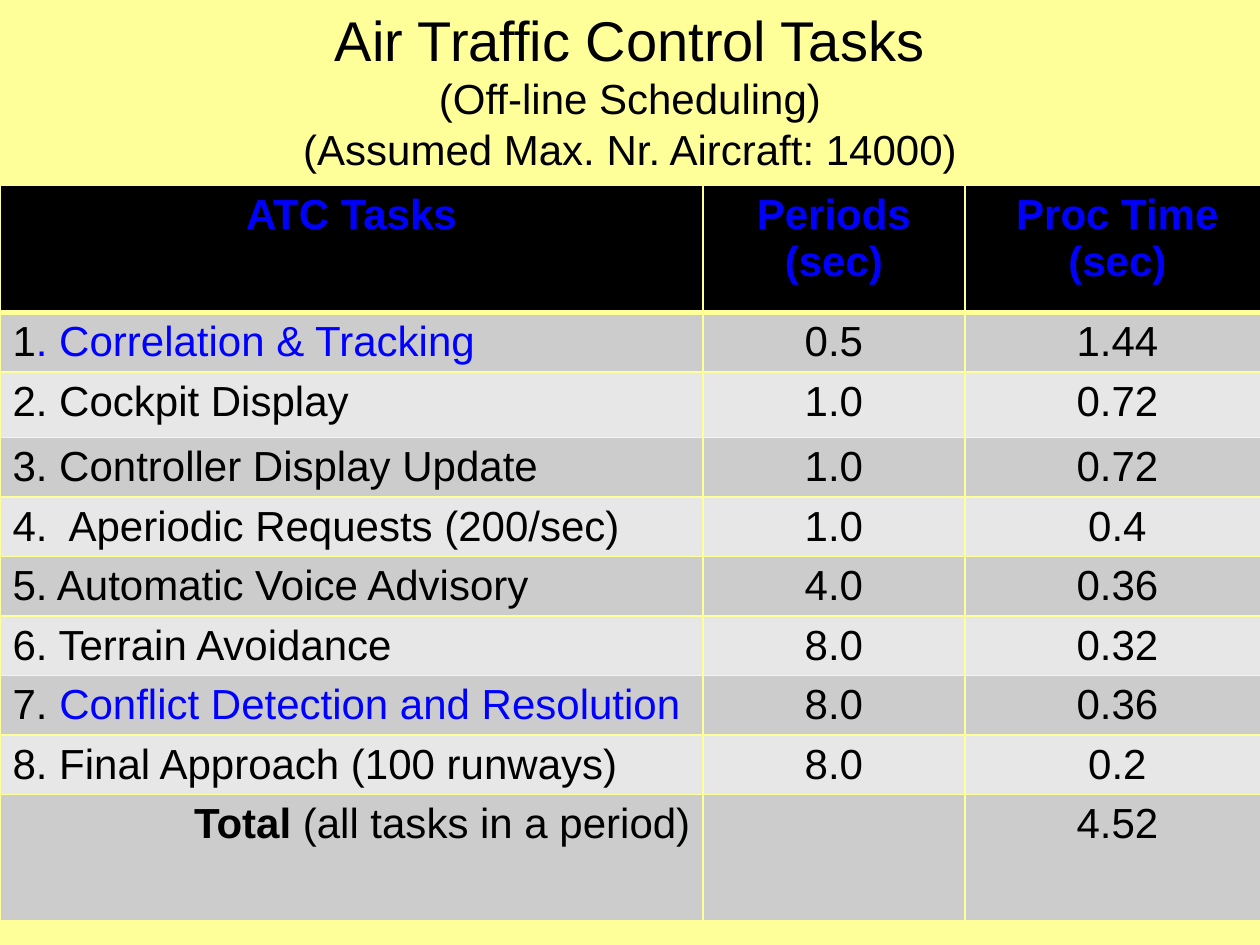
from dataclasses import dataclass

import pptx
import pptx.dml.color
import pptx.enum.text
import pptx.oxml
import pptx.oxml.ns
import pptx.util
from pptx.util import Cm

ALIGN = pptx.enum.text.PP_ALIGN
ANCHOR = pptx.enum.text.MSO_ANCHOR


@dataclass(frozen=True)
class Theme:
    font: str = "Arial"
    background: str = "FFFF99"
    text: str = "000000"
    accent: str = "0000FF"
    header_fill: str = "000000"
    bands: tuple[str, str] = ("CCCCCC", "E7E7E7")
    title_size: int = 32
    body_size: int = 24
    border: int = 1
    header_border: int = 3


@dataclass(frozen=True)
class Task:
    number: str
    name: str
    period: str
    processing_time: str
    highlighted: bool = False


THEME = Theme()
TASKS = [
    Task("1", ". Correlation & Tracking", "0.5", "1.44", True),
    Task("2. ", "Cockpit Display", "1.0", "0.72"),
    Task("3. ", "Controller Display Update", "1.0", "0.72"),
    Task("4.  ", "Aperiodic Requests (200/sec)", "1.0", "0.4"),
    Task("5. ", "Automatic Voice Advisory", "4.0", "0.36"),
    Task("6. ", "Terrain Avoidance", "8.0", "0.32"),
    Task("7. ", "Conflict Detection and Resolution", "8.0", "0.36", True),
    Task("8. ", "Final Approach (100 runways)", "8.0", "0.2"),
]
COLUMN_WIDTHS = [Cm(14.17), Cm(5.28), Cm(6.15)]
HEADER_HEIGHT, TASK_HEIGHT, TOTAL_HEIGHT = Cm(2.57), Cm(1.19), Cm(2.54)
COCKPIT_HEIGHT = Cm(1.32)


def color(value: str) -> pptx.dml.color.RGBColor:
    return pptx.dml.color.RGBColor.from_string(value)


def add_text(paragraph, text: str, *, size: int = THEME.body_size,
             fill: str = THEME.text, bold: bool = False, align=None) -> None:
    """Append a formatted run to a paragraph."""
    if align is not None:
        paragraph.alignment = align
    run = paragraph.add_run()
    run.text = text
    run.font.name = THEME.font
    run.font.size = pptx.util.Pt(size)
    run.font.bold = bold
    run.font.color.rgb = color(fill)


def format_cell(cell, fill: str, top: int, bottom: int) -> None:
    """Set the borders and fill of a cell; border widths are in points."""
    properties = cell._tc.get_or_add_tcPr()
    sides = {"lnL": THEME.border, "lnR": THEME.border, "lnT": top, "lnB": bottom}
    for side, width in sides.items():
        properties.append(pptx.oxml.parse_xml(
            f'<a:{side} {pptx.oxml.ns.nsdecls("a")} w="{pptx.util.Pt(width)}">'
            f'<a:solidFill><a:srgbClr val="{THEME.background}"/></a:solidFill>'
            f'</a:{side}>'))
    cell.fill.solid()
    cell.fill.fore_color.rgb = color(fill)


def add_title(slide) -> None:
    title = slide.shapes.title
    title.left, title.top, title.width, title.height = Cm(1.27), Cm(0), Cm(22.86), Cm(3.61)
    title.text_frame.vertical_anchor = ANCHOR.MIDDLE
    title.text_frame.word_wrap = True
    paragraph = title.text_frame.paragraphs[0]
    add_text(paragraph, "Air Traffic Control Tasks", size=THEME.title_size, align=ALIGN.CENTER)
    for line in ("(Off-line Scheduling)", "(Assumed Max. Nr. Aircraft: 14000)"):
        paragraph.add_line_break()
        add_text(paragraph, line)


def add_task_table(slide) -> None:
    heights = [HEADER_HEIGHT, *[TASK_HEIGHT] * len(TASKS), TOTAL_HEIGHT]
    heights[2] = COCKPIT_HEIGHT
    table = slide.shapes.add_table(
        len(heights), len(COLUMN_WIDTHS), Cm(0), Cm(3.73),
        sum(COLUMN_WIDTHS), sum(heights)).table
    table.horz_banding = False
    for column, width in zip(table.columns, COLUMN_WIDTHS):
        column.width = width

    # Row heights, fills and borders
    for index, (row, height) in enumerate(zip(table.rows, heights)):
        row.height = height
        fill = THEME.bands[(index - 1) % 2] if index else THEME.header_fill
        top = THEME.header_border if index == 1 else THEME.border
        bottom = THEME.header_border if index == 0 else THEME.border
        for cell in row.cells:
            format_cell(cell, fill, top, bottom)

    def paragraph_at(row: int, column: int):
        return table.cell(row, column).text_frame.paragraphs[0]

    # Header
    for column, heading in enumerate(("ATC Tasks", "Periods (sec)", "Proc Time (sec)")):
        add_text(paragraph_at(0, column), heading, fill=THEME.accent, bold=True,
                 align=ALIGN.CENTER)

    # Tasks
    for row, task in enumerate(TASKS, start=1):
        add_text(paragraph_at(row, 0), task.number)
        add_text(paragraph_at(row, 0), task.name,
                 fill=THEME.accent if task.highlighted else THEME.text)
        for column, value in enumerate((task.period, task.processing_time), start=1):
            add_text(paragraph_at(row, column), value, align=ALIGN.CENTER)

    # Total
    total_row = len(heights) - 1
    add_text(paragraph_at(total_row, 0), "Total ", bold=True, align=ALIGN.RIGHT)
    add_text(paragraph_at(total_row, 0), "(all tasks in a period)")
    add_text(paragraph_at(total_row, 2), "4.52", align=ALIGN.CENTER)


def main() -> None:
    presentation = pptx.Presentation()
    presentation.slide_width, presentation.slide_height = Cm(25.4), Cm(19.05)
    title_only = presentation.slide_layouts[5]
    slide = presentation.slides.add_slide(title_only)
    slide.background.fill.solid()
    slide.background.fill.fore_color.rgb = color(THEME.background)
    add_title(slide)
    add_task_table(slide)
    presentation.save("out.pptx")


main()
